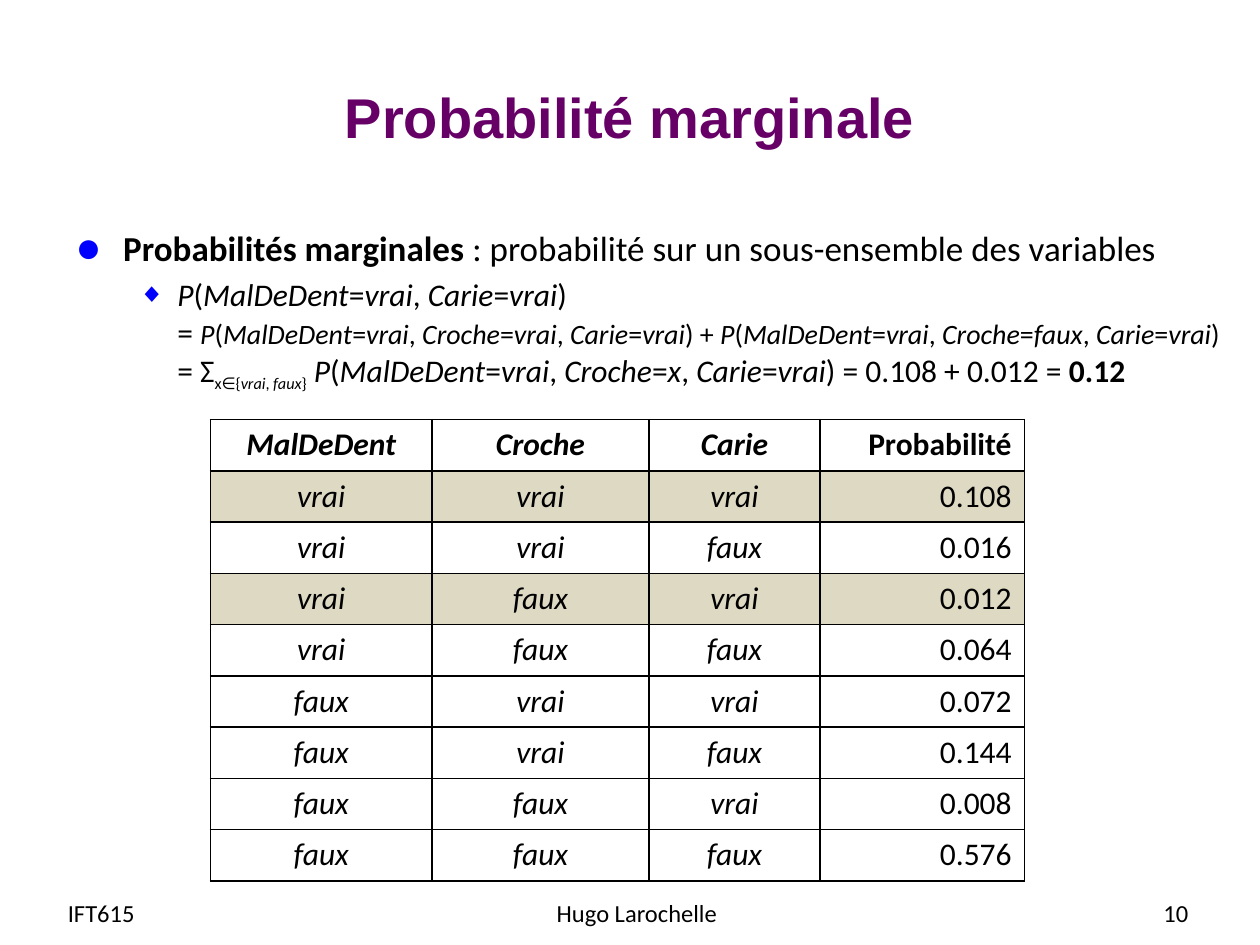
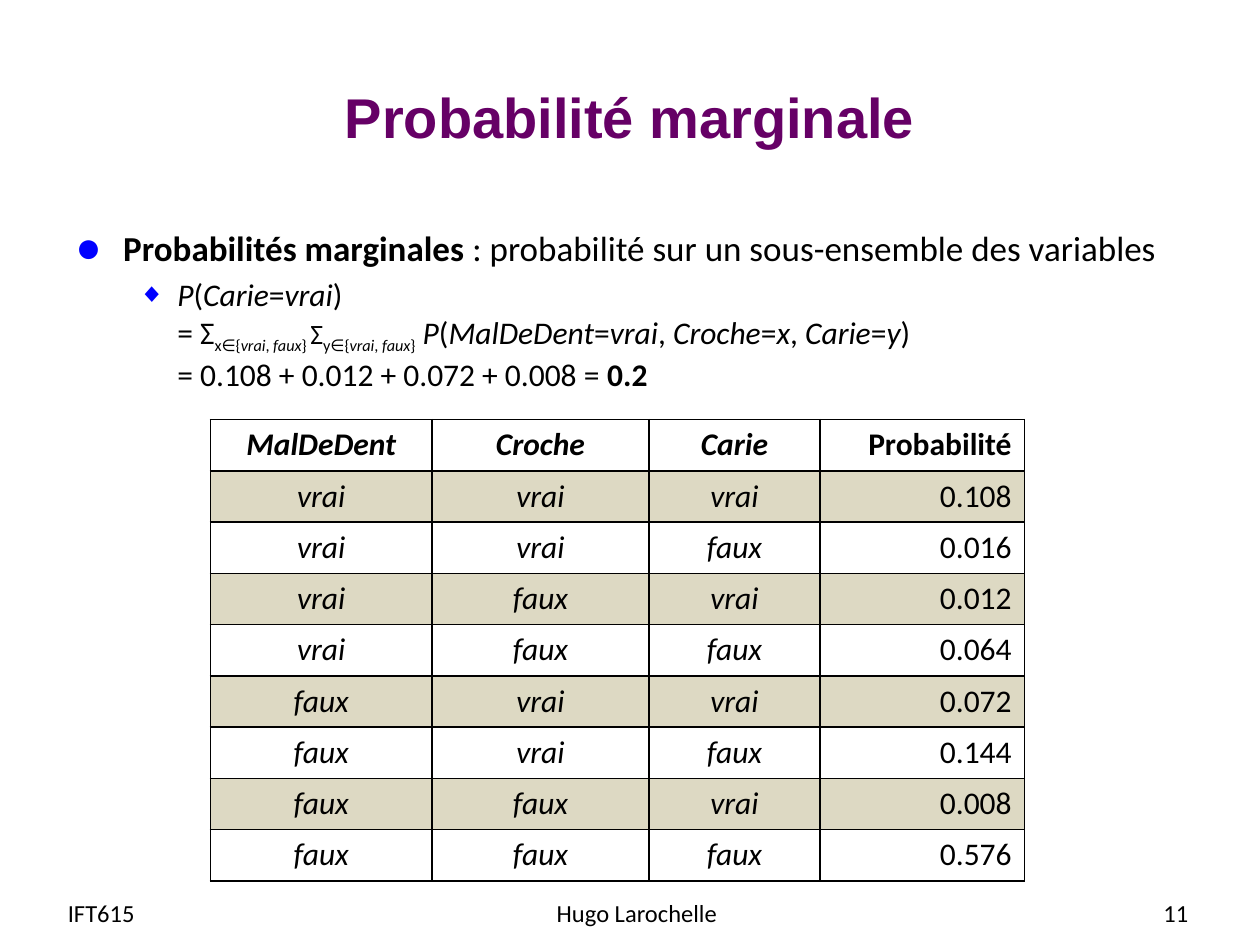
import itertools

import lxml.etree
import pptx
import pptx.dml.color
import pptx.enum.text
import pptx.oxml.ns
import pptx.util

PURPLE = pptx.dml.color.RGBColor(0x66, 0x00, 0x66)
BLACK = pptx.dml.color.RGBColor(0x00, 0x00, 0x00)
BLUE = pptx.dml.color.RGBColor(0x00, 0x00, 0xFF)
BEIGE = pptx.dml.color.RGBColor(0xDD, 0xD9, 0xC3)
LEFT, CENTER, RIGHT = (pptx.enum.text.PP_ALIGN.LEFT, pptx.enum.text.PP_ALIGN.CENTER,
                       pptx.enum.text.PP_ALIGN.RIGHT)
MIDDLE, TOP = pptx.enum.text.MSO_ANCHOR.MIDDLE, pptx.enum.text.MSO_ANCHOR.TOP

presentation = pptx.Presentation()
presentation.slide_width = pptx.util.Inches(10)
presentation.slide_height = pptx.util.Inches(7.5)

# Grid of 100 columns and 75 rows
COLUMN = presentation.slide_width // 100
ROW = presentation.slide_height // 75

# Text formats shared by the slides
TITLE = {"name": "Arial", "size": pptx.util.Pt(32), "bold": True}
BODY = {"name": "Calibri", "size": pptx.util.Pt(20), "bold": False}
FORMULA = {**BODY, "size": pptx.util.Pt(18)}
SMALL = {**BODY, "size": pptx.util.Pt(16)}
FOOTER = {**BODY, "size": pptx.util.Pt(14)}
STRONG = {"bold": True}

# Table contents
VARIABLES = ["MalDeDent", "Croche", "Carie"]
PROBABILITIES = ["0.108", "0.016", "0.012", "0.064", "0.072", "0.144", "0.008", "0.576"]
COLUMN_WIDTHS = [17.6, 17.2, 13.6, 16.2]
ROW_HEIGHT = 4.07

# Formula lines hold (text, format, subscript) pieces; asterisks switch italics
SUM_X = [("Σ", FORMULA, False), ("x∈{*vrai*, *faux*}", SMALL, True)]
SUM_Y = [("Σ", SMALL, False), ("y∈{*vrai*, *faux*}", SMALL, True)]
SLIDES = [
    {
        "number": "10",
        "selected": {"MalDeDent": "vrai", "Carie": "vrai"},
        "lines": [
            [("*P*(*MalDeDent*=*vrai*, *Carie*=*vrai*)", FORMULA, False)],
            [("= ", FORMULA, False),
             ("*P*(*MalDeDent*=*vrai*, *Croche*=*vrai*, *Carie*=*vrai*) + "
              "*P*(*MalDeDent*=*vrai*, *Croche*=*faux*, *Carie*=*vrai*)", SMALL, False)],
            [("= ", FORMULA, False), *SUM_X,
             (" *P*(*MalDeDent*=*vrai*, *Croche*=*x*, *Carie*=*vrai*) = 0.108 + 0.012 = ",
              FORMULA, False),
             ("0.12", {**FORMULA, **STRONG}, False)],
        ],
    },
    {
        "number": "11",
        "selected": {"Carie": "vrai"},
        "lines": [
            [("*P*(*Carie*=*vrai*)", FORMULA, False)],
            [("= ", FORMULA, False), *SUM_X, (" ", SMALL, True), *SUM_Y,
             (" *P*(*MalDeDent*=*vrai*, *Croche*=*x*, *Carie*=*y*)", FORMULA, False)],
            [("= 0.108 + 0.012 + 0.072 + 0.008 = ", FORMULA, False),
             ("0.2", {**FORMULA, **STRONG}, False)],
        ],
    },
]


def add_text(paragraph, text, text_format, color=BLACK, subscript=False):
    for index, part in enumerate(text.split("*")):
        if not part:
            continue
        run = paragraph.add_run()
        run.text = part
        for name, value in {**text_format, "italic": index % 2 == 1}.items():
            setattr(run.font, name, value)
        run.font.color.rgb = color
        if subscript:
            run.font._element.set("baseline", "-25000")


def add_box(slide, left, top, width, height, anchor, alignment):
    box = slide.shapes.add_textbox(int(left * COLUMN), int(top * ROW),
                                   int(width * COLUMN), int(height * ROW))
    box.text_frame.word_wrap = True
    box.text_frame.vertical_anchor = anchor
    box.text_frame.paragraphs[0].alignment = alignment
    return box.text_frame


for content in SLIDES:
    slide = presentation.slides.add_slide(presentation.slide_layouts[6])

    # Title
    frame = add_box(slide, 5, 3, 90, 12.5, MIDDLE, CENTER)
    add_text(frame.paragraphs[0], "Probabilité marginale", TITLE, PURPLE)

    # Definition and formula
    frame = add_box(slide, 5, 17.5, 96.6, 17.1, TOP, LEFT)
    definition, formula = frame.paragraphs[0], frame.add_paragraph()
    add_text(definition, "Probabilités marginales ", {**BODY, **STRONG})
    add_text(definition, ": probabilité sur un sous-ensemble des variables", BODY)
    formula.space_before = pptx.util.Pt(3.6)
    for index, line in enumerate(content["lines"]):
        if index:
            formula.add_line_break()
        for text, text_format, subscript in line:
            add_text(formula, text, text_format, subscript=subscript)

    # Bullets
    for paragraph, character, percent, margin, hanging in [
            (definition, "●", 125, 0.38, 0.38), (formula, "◆", 85, 0.81, 0.31)]:
        properties = paragraph._p.get_or_add_pPr()
        properties.set("marL", str(pptx.util.Inches(margin)))
        properties.set("indent", str(-pptx.util.Inches(hanging)))
        bullet_color = lxml.etree.SubElement(properties, pptx.oxml.ns.qn("a:buClr"))
        for parent, tag, attribute, value in [
                (bullet_color, "a:srgbClr", "val", str(BLUE)),
                (properties, "a:buSzPct", "val", str(percent * 1000)),
                (properties, "a:buFont", "typeface", "Arial"),
                (properties, "a:buChar", "char", character)]:
            lxml.etree.SubElement(parent, pptx.oxml.ns.qn(tag)).set(attribute, value)

    # Footer
    for text, left, width, alignment in [
            ("IFT615", 4.4, 19.3, LEFT),
            ("Hugo Larochelle", 34.7, 31.7, CENTER),
            (content["number"], 72, 23.3, RIGHT)]:
        frame = add_box(slide, left, 70.4, width, 4, MIDDLE, alignment)
        add_text(frame.paragraphs[0], text, FOOTER)

    # Joint probability table
    rows = [[*VARIABLES, "Probabilité"]]
    for values, probability in zip(itertools.product(["vrai", "faux"], repeat=3), PROBABILITIES):
        rows.append([*values, probability])
    table = slide.shapes.add_table(
        len(rows), len(COLUMN_WIDTHS), int(16.7 * COLUMN), int(33.3 * ROW),
        int(sum(COLUMN_WIDTHS) * COLUMN), int(len(rows) * ROW_HEIGHT * ROW)).table
    for column, width in zip(table.columns, COLUMN_WIDTHS):
        column.width = int(width * COLUMN)
    for row_index, values in enumerate(rows):
        table.rows[row_index].height = int(ROW_HEIGHT * ROW)
        named_values = dict(zip(VARIABLES, values))
        selected = all(named_values[name] == value
                       for name, value in content["selected"].items())
        for column_index, value in enumerate(values):
            cell = table.cell(row_index, column_index)
            is_variable = column_index < len(VARIABLES)
            paragraph = cell.text_frame.paragraphs[0]
            paragraph.alignment = CENTER if is_variable else RIGHT
            add_text(paragraph, f"*{value}*" if is_variable else value,
                     {**FORMULA, "bold": row_index == 0})
            if selected:
                cell.fill.solid()
                cell.fill.fore_color.rgb = BEIGE
            else:
                cell.fill.background()
            cell_properties = cell._tc.get_or_add_tcPr()
            for position, side in enumerate(["a:lnL", "a:lnR", "a:lnT", "a:lnB"]):
                border = lxml.etree.Element(pptx.oxml.ns.qn(side), w=str(pptx.util.Pt(1)))
                fill = lxml.etree.SubElement(border, pptx.oxml.ns.qn("a:solidFill"))
                lxml.etree.SubElement(fill, pptx.oxml.ns.qn("a:srgbClr"), val=str(BLACK))
                cell_properties.insert(position, border)

presentation.save("out.pptx")
